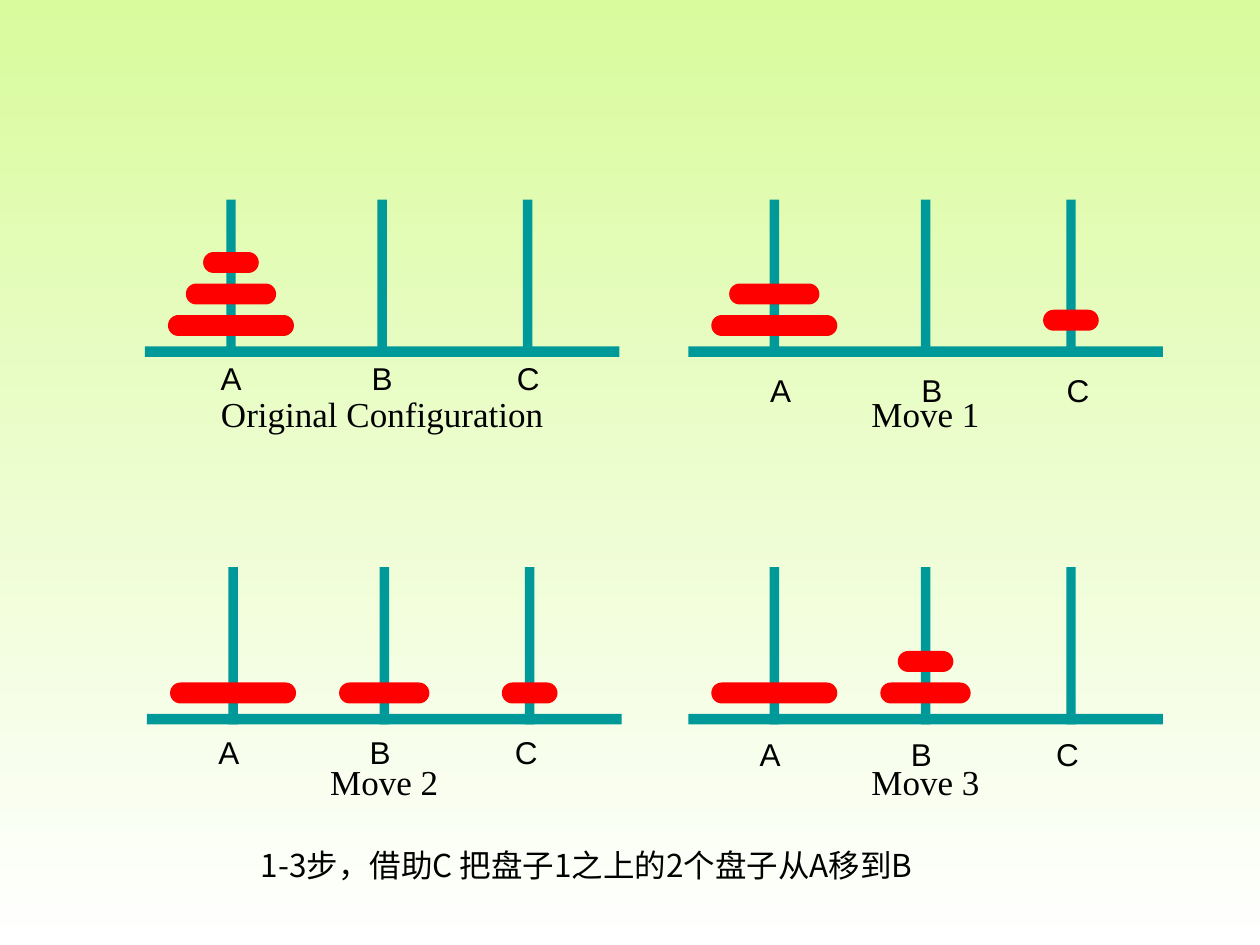
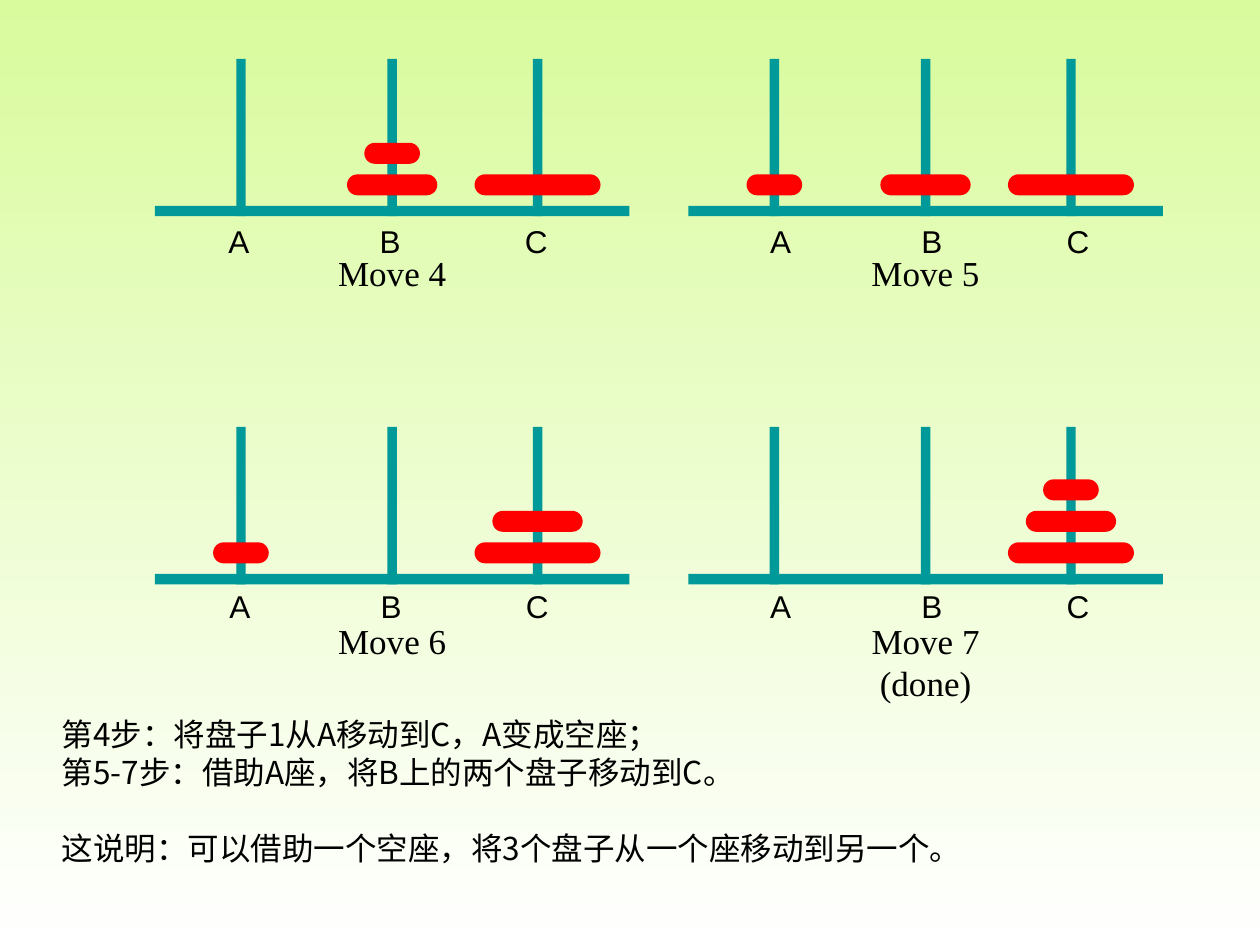
"""Builds two slides that show the seven moves of a three-disk Tower of Hanoi."""
from dataclasses import dataclass

from lxml.etree import SubElement
from pptx import Presentation
from pptx.dml.color import RGBColor
from pptx.enum.shapes import MSO_AUTO_SHAPE_TYPE as Shape
from pptx.enum.text import PP_ALIGN as Align
from pptx.oxml.ns import qn
from pptx.util import Inches, Pt

LIME = RGBColor(0xD9, 0xFB, 0x9D)
WHITE = RGBColor(0xFF, 0xFF, 0xFF)
TEAL = RGBColor(0x00, 0x99, 0x99)
RED = RGBColor(0xFF, 0x00, 0x00)
BLACK = RGBColor(0x00, 0x00, 0x00)

COLUMNS, ROWS = 120, 90
BASE_WIDTH, POLE_WIDTH, POLE_HEIGHT = 45.2, 0.9, 15
POLES = {"A": 8.2, "B": 22.6, "C": 36.45}
DISK_WIDTHS = {1: 5.3, 2: 8.6, 3: 12}
DISK_HEIGHT, DISK_STEP = 2, 3
LABEL_WIDTH, LABEL_HEIGHT, CAPTION_DROP, CAPTION_HEIGHT = 4.4, 4.8, 3.8, 5.3


@dataclass
class Tower:
    """One state of the game, with its place on the grid and its label offsets."""

    caption: str
    caption_width: float
    left: float
    top: float
    stacks: dict
    label_shift: float
    label_drop: float
    lowered: str = ""


class HanoiDeck:
    """Holds the shared style and the current slide, and draws on it."""

    def __init__(self):
        self.deck = Presentation()
        self.deck.slide_width, self.deck.slide_height = Inches(10), Inches(7.5)
        self.page = None
        fill = self.deck.slide_master.background.fill
        fill.gradient()
        fill.gradient_angle = 270
        for stop, color in zip(fill.gradient_stops, (LIME, WHITE)):
            stop.color.rgb = color

    def new_page(self):
        self.page = self.deck.slides.add_slide(self.deck.slide_layouts[6])

    def place(self, left, top, width, height):
        across = self.deck.slide_width / COLUMNS
        down = self.deck.slide_height / ROWS
        return [round(n) for n in (left * across, top * down, width * across, height * down)]

    def block(self, parent, kind, color, *area):
        shape = parent.shapes.add_shape(kind, *self.place(*area))
        shape.shadow.inherit = False
        shape.fill.solid()
        shape.fill.fore_color.rgb = color
        shape.line.fill.background()
        return shape

    def disk(self, parent, size, center, top):
        width = DISK_WIDTHS[size]
        area = (center - width / 2, top, width, DISK_HEIGHT)
        self.block(parent, Shape.ROUNDED_RECTANGLE, RED, *area).adjustments[0] = 0.5

    def text(self, parent, lines, font, size, area, align=Align.CENTER, wrap=False):
        box = parent.shapes.add_textbox(*self.place(*area))
        frame = box.text_frame
        frame.word_wrap = wrap
        frame.text = "\n".join(lines)
        for para in frame.paragraphs:
            para.alignment = align
            para.font.name = font
            para.font.size = Pt(size)
            para.font.color.rgb = BLACK
            style = para._p.pPr.find(qn("a:defRPr"))
            SubElement(style, qn("a:ea")).set("typeface", font)
        return frame

    def note(self, lines, *area):
        return self.text(self.page, lines, "Noto Sans CJK SC", 18, area, Align.LEFT, True)

    def tower(self, tower):
        group = self.page.shapes.add_group_shape()
        base = tower.top + POLE_HEIGHT - 1
        self.block(group, Shape.RECTANGLE, TEAL, tower.left, base, BASE_WIDTH, 1)
        for name, offset in POLES.items():
            center = tower.left + offset
            self.block(group, Shape.RECTANGLE, TEAL,
                       center - POLE_WIDTH / 2, tower.top, POLE_WIDTH, POLE_HEIGHT)
            lift = 0.5 if name == tower.lowered else 0
            for level, size in enumerate(tower.stacks.get(name, ()), 1):
                self.disk(group, size, center, base - level * DISK_STEP - lift)
            label = (center + tower.label_shift - LABEL_WIDTH / 2,
                     base + tower.label_drop, LABEL_WIDTH, LABEL_HEIGHT)
            self.text(group, [name], "Arial", 18, label)
        caption = (tower.left + POLES["B"] - tower.caption_width / 2,
                   base + CAPTION_DROP, tower.caption_width, CAPTION_HEIGHT)
        self.text(group, [tower.caption], "Times New Roman", 20, caption)


FIRST_MOVES = [
    Tower("Original Configuration", 33.1, 13.8, 19, {"A": (3, 2, 1)}, 0, 0.6),
    Tower("Move 1", 12.7, 65.55, 19, {"A": (3, 2), "C": (1,)}, 0.6, 1.7, "C"),
    Tower("Move 2", 12.7, 14, 54, {"A": (3,), "B": (2,), "C": (1,)}, -0.4, 1.2),
    Tower("Move 3", 12.7, 65.55, 54, {"A": (3,), "B": (2, 1)}, -0.4, 1.4),
]
LAST_MOVES = [
    Tower("Move 4", 12.7, 14.75, 5.6, {"B": (2, 1), "C": (3,)}, -0.2, 1),
    Tower("Move 5", 12.7, 65.55, 5.6, {"A": (1,), "B": (2,), "C": (3,)}, 0.6, 1),
    Tower("Move 6", 12.7, 14.75, 40.65, {"A": (1,), "C": (3, 2)}, -0.1, 0.7),
    Tower("Move 7 (done)", 22.2, 65.55, 40.65, {"C": (3, 2, 1)}, 0.6, 0.7),
]


def main():
    hanoi = HanoiDeck()
    hanoi.new_page()
    for tower in FIRST_MOVES:
        hanoi.tower(tower)
    hanoi.note(["1-3步，借助C 把盘子1之上的2个盘子从A移到B"], 23.65, 80, 74, 4.8)

    hanoi.new_page()
    for tower in LAST_MOVES:
        hanoi.tower(tower)
    lines = ["第4步：将盘子1从A移动到C，A变成空座；",
             "第5-7步：借助A座，将B上的两个盘子移动到C。",
             "这说明：可以借助一个空座，将3个盘子从一个座移动到另一个。"]
    frame = hanoi.note(lines, 4.7, 67.55, 115.3, 15.6)
    frame.paragraphs[-1].space_before = Pt(21.7)
    hanoi.deck.save("out.pptx")


if __name__ == "__main__":
    main()
